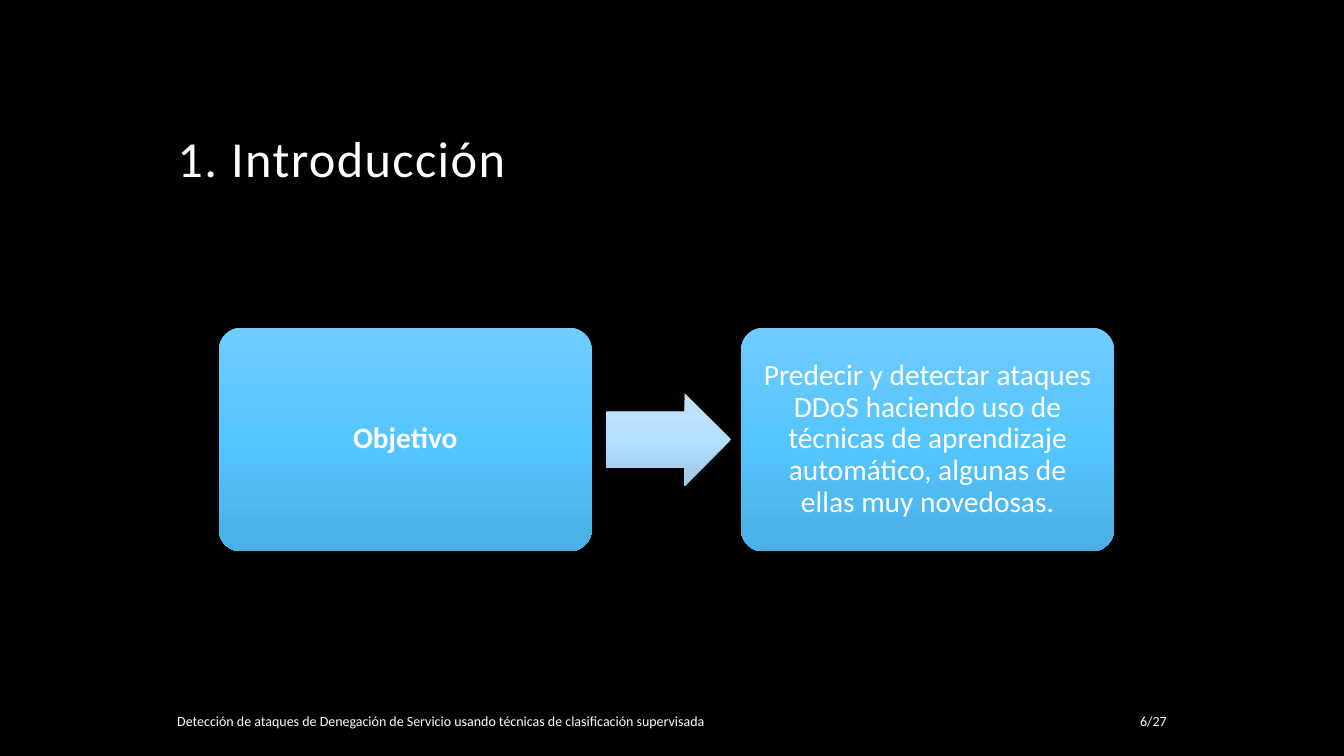
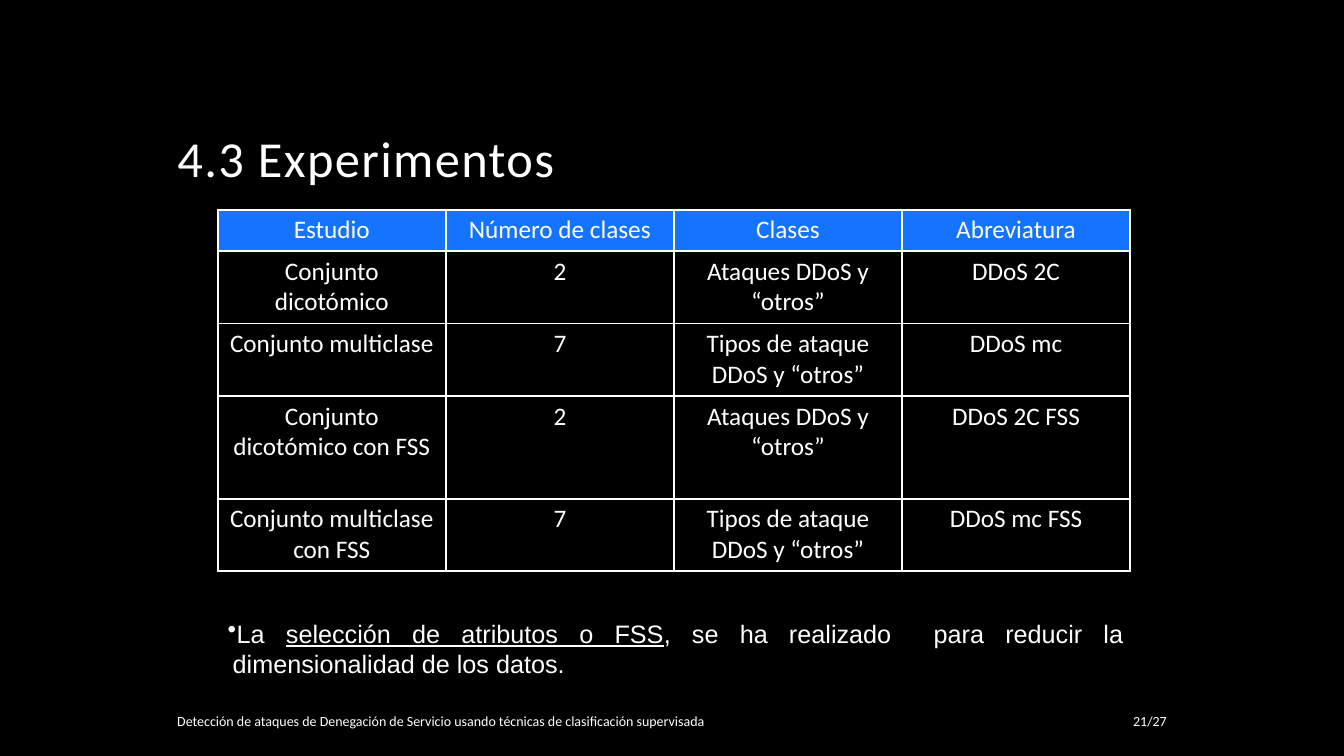
from copy import deepcopy

from pptx import Presentation
from pptx.dml.color import RGBColor
from pptx.enum.shapes import MSO_SHAPE
from pptx.enum.text import MSO_ANCHOR, MSO_AUTO_SIZE, PP_ALIGN
from pptx.oxml import parse_xml
from pptx.oxml.ns import nsdecls, qn
from pptx.util import Inches, Pt

WHITE, BLACK, HEADER_BLUE = "FFFFFF", "000000", "1474FF"
BOX_BLUES = ("70CBFF", "56C5FF", "4AB0E5")
ARROW_BLUES = ("C2E4FF", "B4DFFF", "9EC6E5")
FOOTER = "Detección de ataques de Denegación de Servicio usando técnicas de clasificación supervisada"
PAGE_COUNT = 27


def color(value):
    return RGBColor.from_string(value)


def apply(target, values):
    for name, value in values.items():
        setattr(target, name, value)


class Slides:
    """Holds the shared style and the slide being filled."""

    def __init__(self):
        self.deck = Presentation()
        apply(self.deck, {"slide_width": Inches(13.33), "slide_height": Inches(7.5)})
        background = self.deck.slide_master.background.fill
        background.solid()
        background.fore_color.rgb = color(BLACK)
        self.page = None

    def add_span(self, para, text, size, font="Calibri", **values):
        span = para.add_run()
        span.text = text
        apply(span.font, {"size": Pt(size), "name": font, **values})
        span.font.color.rgb = color(WHITE)
        return span

    def start(self, title, number):
        self.page = self.deck.slides.add_slide(self.deck.slide_layouts[5])
        box = self.page.shapes.title
        apply(box, {"left": Inches(1.66), "top": Inches(0.42),
                    "width": Inches(10), "height": Inches(1.5)})
        apply(box.text_frame, {"vertical_anchor": MSO_ANCHOR.BOTTOM, "word_wrap": True,
                               "auto_size": MSO_AUTO_SIZE.NONE})
        para = box.text_frame.paragraphs[0]
        apply(para, {"alignment": PP_ALIGN.LEFT, "line_spacing": 0.9})
        span = self.add_span(para, title, 36)
        span.font._element.set("spc", "100")
        self.footer(1.66, 7.17, FOOTER, PP_ALIGN.LEFT)
        self.footer(10.75, 0.92, f"{number}/{PAGE_COUNT}", PP_ALIGN.RIGHT)

    def text_box(self, left, top, width, height, anchor=MSO_ANCHOR.TOP):
        box = self.page.shapes.add_textbox(*map(Inches, (left, top, width, height)))
        apply(box.text_frame, {"word_wrap": True, "vertical_anchor": anchor})
        return box.text_frame.paragraphs[0]

    def footer(self, left, width, text, alignment):
        para = self.text_box(left, 7, width, 0.3, MSO_ANCHOR.MIDDLE)
        para.alignment = alignment
        self.add_span(para, text, 10)

    def gradient_shape(self, kind, place, adjustments, colors):
        shape = self.page.shapes.add_shape(kind, *map(Inches, place))
        shape.shadow.inherit = False
        shape.line.fill.background()
        for index, value in enumerate(adjustments):
            shape.adjustments[index] = value
        shape.fill.gradient()
        shape.fill.gradient_angle = 270
        stops = shape._element.spPr.find(".//" + qn("a:gsLst"))
        stops.insert(1, deepcopy(stops[0]))
        for index, stop in enumerate(shape.fill.gradient_stops):
            stop.position = index / 2
            stop.color.rgb = color(colors[index])
        return shape

    def card(self, left, text, bold=False):
        shape = self.gradient_shape(MSO_SHAPE.ROUNDED_RECTANGLE, (left, 3.25, 3.7, 2.22),
                                    [0.1], BOX_BLUES)
        sides = ("left", "right", "top", "bottom")
        apply(shape.text_frame, {f"margin_{side}": Inches(0.15) for side in sides})
        apply(shape.text_frame, {"word_wrap": True, "vertical_anchor": MSO_ANCHOR.MIDDLE})
        para = shape.text_frame.paragraphs[0]
        apply(para, {"alignment": PP_ALIGN.CENTER, "line_spacing": 0.9})
        self.add_span(para, text, 21, bold=bold)

    def arrow(self, left, top, width, height):
        self.gradient_shape(MSO_SHAPE.RIGHT_ARROW, (left, top, width, height),
                            [0.6, 0.5], ARROW_BLUES)

    def cell(self, cell, text, fill):
        properties = cell._tc.get_or_add_tcPr()
        for side in "LRTB":
            properties.append(parse_xml(
                f'<a:ln{side} {nsdecls("a")} w="{Pt(1.5)}"><a:solidFill>'
                f'<a:srgbClr val="{WHITE}"/></a:solidFill></a:ln{side}>'))
        if fill:
            cell.fill.solid()
            cell.fill.fore_color.rgb = color(fill)
        else:
            cell.fill.background()
        para = cell.text_frame.paragraphs[0]
        para.alignment = PP_ALIGN.CENTER
        self.add_span(para, text, 18)

    def table(self, left, top, width, heights, rows):
        frame = self.page.shapes.add_table(len(rows), len(rows[0]), *map(
            Inches, (left, top, width, sum(heights))))
        table = frame.table
        apply(table, {"first_row": False, "horz_banding": False})
        for row, height in zip(table.rows, heights):
            row.height = Inches(height)
        for row_index, row in enumerate(rows):
            for column_index, text in enumerate(row):
                self.cell(table.cell(row_index, column_index), text,
                          None if row_index else HEADER_BLUE)

    def bullet(self, left, top, width, height, parts):
        para = self.text_box(left, top, width, height)
        para.alignment = PP_ALIGN.JUSTIFY
        properties = para._p.get_or_add_pPr()
        indent = Inches(0.05)
        properties.set("marL", str(indent))
        properties.set("indent", str(-indent))
        properties.append(parse_xml(f'<a:buChar {nsdecls("a")} char="•"/>'))
        for text, underline in parts:
            self.add_span(para, text, 18, "Arial", underline=underline)


def main():
    slides = Slides()

    slides.start("1. Introducción", 6)
    slides.card(2.17, "Objetivo", bold=True)
    slides.arrow(6.01, 3.9, 1.24, 0.92)
    slides.card(7.35, "Predecir y detectar ataques DDoS haciendo uso de técnicas de "
                      "aprendizaje automático, algunas de ellas muy novedosas.")

    slides.start("4.3 Experimentos", 21)
    two_classes, many_classes = "Ataques DDoS y “otros”", "Tipos de ataque DDoS y “otros”"
    slides.table(2.16, 2.08, 9.05, (0.41, 0.72, 0.72, 1.02, 0.72), [
        ("Estudio", "Número de clases", "Clases", "Abreviatura"),
        ("Conjunto dicotómico", "2", two_classes, "DDoS 2C"),
        ("Conjunto multiclase", "7", many_classes, "DDoS mc"),
        ("Conjunto dicotómico con FSS", "2", two_classes, "DDoS 2C FSS"),
        ("Conjunto multiclase con FSS", "7", many_classes, "DDoS mc FSS"),
    ])
    slides.bullet(2.16, 6.08, 9.08, 0.71, [
        ("La ", False),
        ("selección de atributos o FSS", True),
        (", se ha realizado  para reducir la dimensionalidad de los datos.", False),
    ])

    slides.deck.save("out.pptx")


if __name__ == "__main__":
    main()
